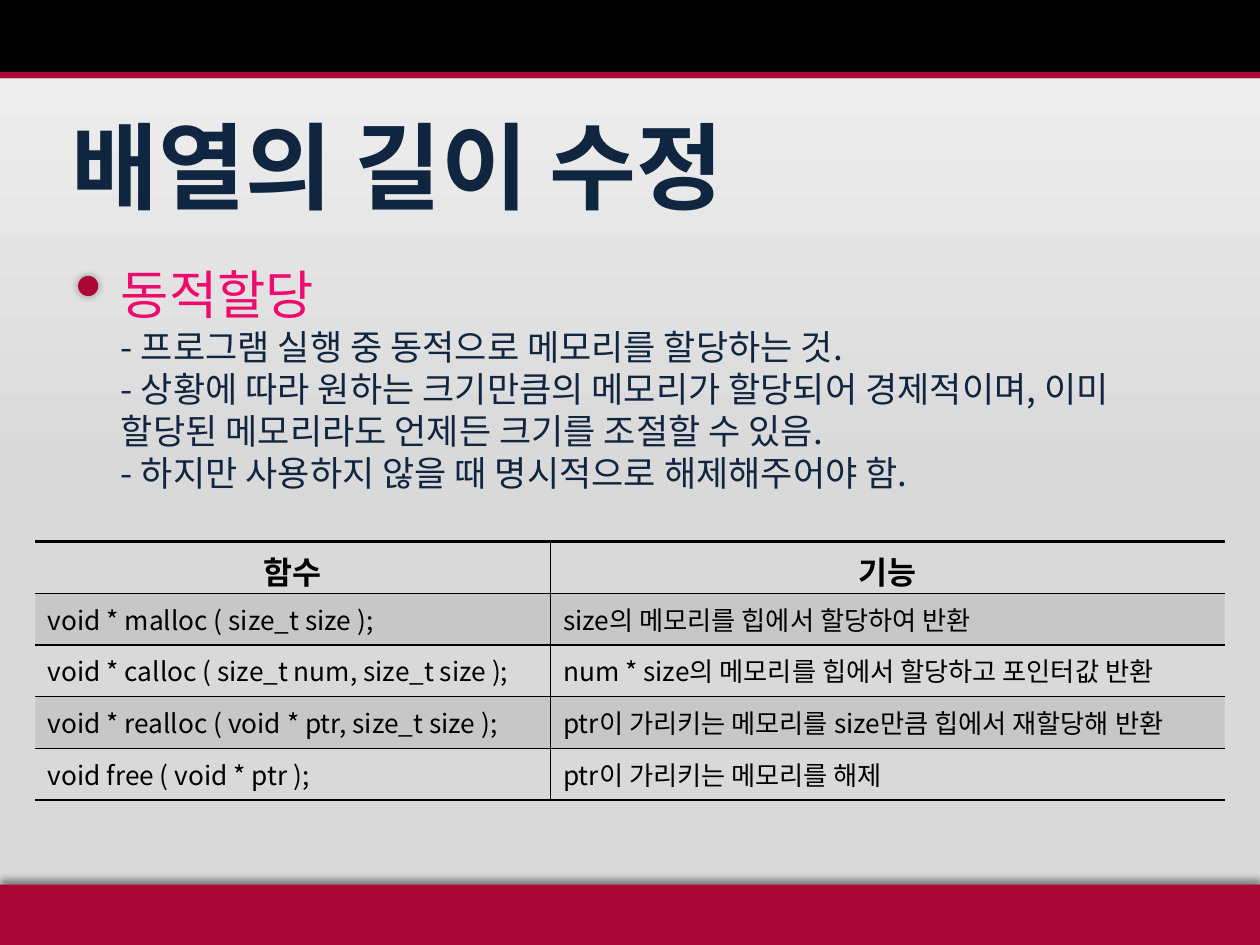
from lxml import etree
from pptx import Presentation
from pptx.dml.color import RGBColor
from pptx.enum.shapes import MSO_SHAPE
from pptx.enum.text import MSO_ANCHOR, MSO_AUTO_SIZE, PP_ALIGN
from pptx.oxml.ns import qn
from pptx.util import Inches, Pt

RECTANGLE, OVAL = MSO_SHAPE.RECTANGLE, MSO_SHAPE.OVAL
LEFT, CENTER = PP_ALIGN.LEFT, PP_ALIGN.CENTER
TOP, MIDDLE = MSO_ANCHOR.TOP, MSO_ANCHOR.MIDDLE
FIT_SHAPE = MSO_AUTO_SIZE.SHAPE_TO_FIT_TEXT

FONT = "Noto Sans CJK KR"
CRIMSON, NAVY, PINK, BLACK = "AA0638", "10253F", "EF0B6D", "000000"
BAND, WHITE = "7F7F7F", "FFFFFF"

TITLE = "배열의 길이 수정"
BODY = [
    "동적할당",
    "- 프로그램 실행 중 동적으로 메모리를 할당하는 것.",
    "- 상황에 따라 원하는 크기만큼의 메모리가 할당되어 경제적이며, "
    "이미 할당된 메모리라도 언제든 크기를 조절할 수 있음.",
    "- 하지만 사용하지 않을 때 명시적으로 해제해주어야 함.",
]
FUNCTIONS = [
    ("함수", "기능"),
    ("void * malloc ( size_t size );", "size의 메모리를 힙에서 할당하여 반환"),
    ("void * calloc ( size_t num, size_t size );",
     "num * size의 메모리를 힙에서 할당하고 포인터값 반환"),
    ("void * realloc ( void * ptr, size_t size );",
     "ptr이 가리키는 메모리를 size만큼 힙에서 재할당해 반환"),
    ("void free ( void * ptr );", "ptr이 가리키는 메모리를 해제"),
]
COLUMN_WIDTHS = (4.09, 5.35)
ROW_HEIGHT = 0.41


def color(value):
    return RGBColor.from_string(value)


def add_child(parent, tag, **attributes):
    return etree.SubElement(parent, qn(tag), attributes)


def add_color(parent, value, alpha=100):
    element = add_child(parent, "a:srgbClr", val=value)
    if alpha < 100:
        add_child(element, "a:alpha", val=str(alpha * 1000))


def format_paragraph(paragraph, size, text_color, bold=False, align=LEFT):
    paragraph.alignment = align
    paragraph.space_before = Pt(0)
    font = paragraph.font
    font.name, font.size, font.bold = FONT, Pt(size), bold
    font.color.rgb = color(text_color)
    # Korean text takes the East Asian typeface
    latin = paragraph._p.pPr.find(qn("a:defRPr")).find(qn("a:latin"))
    latin.addnext(latin.makeelement(qn("a:ea"), {"typeface": FONT}))


def outline_text(paragraph):
    for run in paragraph.runs:
        properties = run._r.get_or_add_rPr()
        line = properties.makeelement(qn("a:ln"), {"w": str(Pt(0.75))})
        properties.insert(0, line)
        add_color(add_child(line, "a:solidFill"), WHITE, 55)


def remove_bullet(paragraph):
    properties = paragraph._p.get_or_add_pPr()
    properties.set("marL", "0")
    properties.set("indent", "0")
    bullet = properties.makeelement(qn("a:buNone"), {})
    properties.find(qn("a:defRPr")).addprevious(bullet)


def place_text(shape, box, lines, anchor, wrap):
    shape.left, shape.top, shape.width, shape.height = map(Inches, box)
    frame = shape.text_frame
    frame.text = "\n".join(lines)
    frame.vertical_anchor = anchor
    frame.word_wrap = wrap
    frame.auto_size = FIT_SHAPE
    return frame.paragraphs


def add_block(slide, kind, box, fill, shadow=None):
    shape = slide.shapes.add_shape(kind, *map(Inches, box))
    shape.fill.solid()
    shape.fill.fore_color.rgb = color(fill)
    shape.line.fill.background()
    shape.shadow.inherit = False
    if shadow:
        blur, distance, angle = shadow
        effects = shape._element.spPr.find(qn("a:effectLst"))
        outer = add_child(effects, "a:outerShdw", blurRad=str(Pt(blur)),
                          dist=str(Pt(distance)), dir=str(angle * 60000),
                          rotWithShape="0")
        add_color(outer, BLACK, 40)


def set_borders(cell, **widths):
    """Draw the sides given in points; a width of 0 hides a side."""
    properties = cell._tc.get_or_add_tcPr()
    for index, (side, width) in enumerate(widths.items()):
        line = properties.makeelement(qn("a:ln" + side),
                                      {"w": str(Pt(width))})
        properties.insert(index, line)
        if width:
            add_color(add_child(line, "a:solidFill"), BLACK)
        else:
            add_child(line, "a:noFill")


def fill_cell(cell, text, header, banded):
    cell.text = text
    cell.vertical_anchor = TOP
    format_paragraph(cell.text_frame.paragraphs[0], 18 if header else 15,
                     BLACK, header, CENTER if header else LEFT)
    if banded:
        cell.fill.solid()
        cell.fill.fore_color.rgb = color(BAND)
        fill = cell._tc.tcPr.find(qn("a:solidFill"))
        add_child(fill[0], "a:alpha", val="20000")
    else:
        cell.fill.background()


def add_function_table(slide):
    last = len(FUNCTIONS) - 1
    table = slide.shapes.add_table(
        len(FUNCTIONS), len(COLUMN_WIDTHS), Inches(0.28), Inches(4.3),
        Inches(sum(COLUMN_WIDTHS)), Inches(ROW_HEIGHT * len(FUNCTIONS))).table
    for column, width in zip(table.columns, COLUMN_WIDTHS):
        column.width = Inches(width)
    for i, texts in enumerate(FUNCTIONS):
        table.rows[i].height = Inches(ROW_HEIGHT)
        for j, text in enumerate(texts):
            cell = table.cell(i, j)
            fill_cell(cell, text, header=i == 0, banded=i % 2 == 1)
            set_borders(cell, L=j, R=1 - j, T=1.79 if i == 0 else 1,
                        B=1.79 if i == last else 1)


def main():
    presentation = Presentation()
    presentation.slide_width, presentation.slide_height = Inches(10), Inches(7.5)
    slide = presentation.slides.add_slide(presentation.slide_layouts[1])

    # Background fading over the upper half
    background = slide.background.fill
    background.gradient()
    background.gradient_angle = 270
    for stop, value, position in zip(background.gradient_stops,
                                     ("F2F2F2", "D9D9D9"), (0, 0.5)):
        stop.color.rgb = color(value)
        stop.position = position

    # Header and footer bands
    add_block(slide, RECTANGLE, (0, 7.02, 10, 0.48), CRIMSON, (4, 3, 270))
    add_block(slide, RECTANGLE, (0, 0, 10, 0.62), BLACK)
    add_block(slide, RECTANGLE, (0, 0.57, 10, 0.05), CRIMSON)

    # Title
    title = place_text(slide.shapes.title, (0.47, 0.81, 5.88, 0.99),
                       [TITLE], TOP, False)[0]
    format_paragraph(title, 54, NAVY, bold=True)
    outline_text(title)

    # Topic with its explanation
    paragraphs = place_text(slide.placeholders[1], (0.86, 2.03, 8.31, 1.93),
                            BODY, TOP, True)
    for i, paragraph in enumerate(paragraphs):
        format_paragraph(paragraph, 20 if i else 30, NAVY if i else PINK)
        remove_bullet(paragraph)
    outline_text(paragraphs[0])
    add_block(slide, OVAL, (0.62, 2.19, 0.16, 0.16), CRIMSON, (5, 0, 0))

    # Memory functions
    add_function_table(slide)
    presentation.save("out.pptx")


if __name__ == "__main__":
    main()
